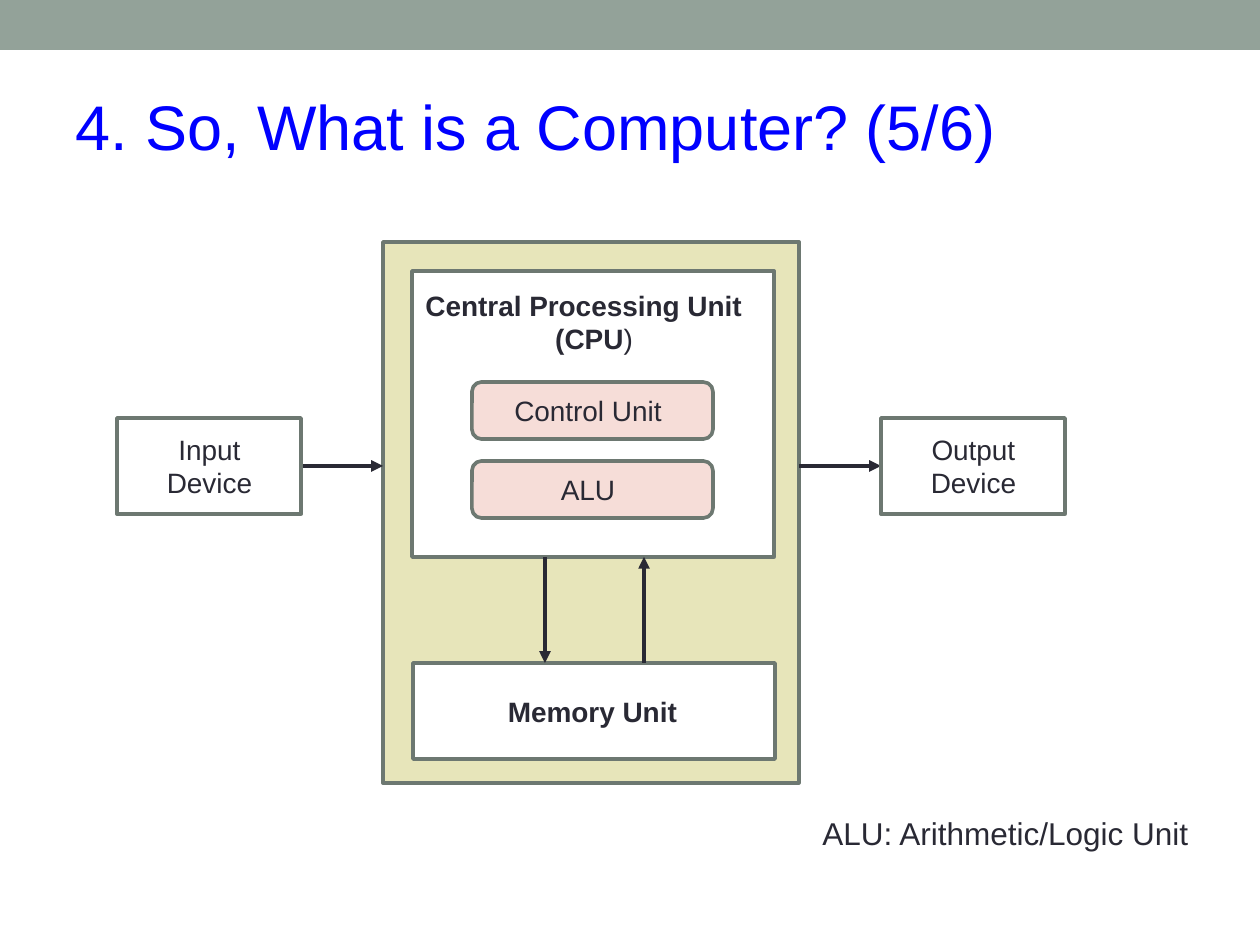
from pptx import Presentation
from pptx import util as u
from pptx.dml.color import RGBColor
from pptx.enum import shapes, text
from pptx.oxml.ns import qn
from lxml import etree

PX = 914400 / 126
COLORS = {"band": "93A299", "title": "0000FF", "text": "292934", "edge": "6D7871",
          "computer": "E7E5BA", "part": "F6DDD8", "white": "FFFFFF"}
RECT = shapes.MSO_SHAPE.RECTANGLE
ROUNDED = shapes.MSO_SHAPE.ROUNDED_RECTANGLE
LEFT, CENTER = text.PP_ALIGN.LEFT, text.PP_ALIGN.CENTER


def px(n):
    return u.Emu(round(n * PX))


def rgb(name):
    return RGBColor.from_string(COLORS[name])


def add_box(s, x, y, w, h, fill, kind=RECT, edge="edge"):
    sp = s.shapes.add_shape(kind, px(x), px(y), px(w), px(h))
    sp.shadow.inherit = False
    sp.fill.solid()
    sp.fill.fore_color.rgb = rgb(fill)
    if edge:
        sp.line.color.rgb = rgb(edge)
        sp.line.width = u.Pt(2.08)
    else:
        sp.line.fill.background()
    return sp


def add_label(s, x, y, w, h, lines, size=16, color="text", bold=False, align=CENTER):
    """Add a text box with one paragraph per line and return its paragraphs."""
    tf = s.shapes.add_textbox(px(x), px(y), px(w), px(h)).text_frame
    tf.word_wrap = True
    tf.text = "\n".join(lines)
    for p in tf.paragraphs:
        p.alignment = align
        p.font.name, p.font.size, p.font.bold = "Arial", u.Pt(size), bold
        p.font.color.rgb = rgb(color)
    return tf.paragraphs


def add_arrow(s, x1, y1, x2, y2):
    c = s.shapes.add_connector(shapes.MSO_CONNECTOR.STRAIGHT, px(x1), px(y1), px(x2), px(y2))
    c.line.color.rgb = rgb("text")
    c.line.width = u.Pt(2.25)
    etree.SubElement(c.line._get_or_add_ln(), qn("a:tailEnd"), type="triangle")
    etree.SubElement(c._element.spPr, qn("a:effectLst"))


def add_heading(s, x, y, w):
    add_box(s, x, y, w, 50, "band", edge=None)
    add_label(s, x + 63, y + 81, w - 89, 89, ["4. So, What is a Computer? (5/6)"],
              size=36, color="title", align=LEFT)


def add_cpu(s, x, y, w, h):
    add_box(s, x, y, w, h, "white")
    name, short = add_label(s, x + 1, y + 11, w, 81,
                            ["Central Processing Unit", "(CPU"], bold=True)
    name.alignment = LEFT
    r = short.add_run()
    r.text = ")"
    r.font.bold = False
    for i, part in enumerate(["Control Unit", "ALU"]):
        top = y + 111 + 79 * i
        add_box(s, x + 60, top, 241, 57, "part", ROUNDED)
        add_label(s, x + 79, top + 5, 194, 47, [part])


def add_memory(s, x, y, w, h):
    add_box(s, x, y, w, h, "white")
    add_label(s, x + 59, y + 25, 241, 47, ["Memory Unit"], bold=True)


def add_computer(s, x, y, w, h):
    cpu_bottom, memory_top = y + 315, y + 421
    add_box(s, x, y, w, h, "computer")
    add_cpu(s, x + 29, y + 29, 362, 286)
    add_memory(s, x + 30, memory_top, 362, 96)
    add_arrow(s, x + 261, memory_top, x + 261, cpu_bottom)
    add_arrow(s, x + 162, cpu_bottom, x + 162, memory_top)


def add_device(s, x, y, w, h, name):
    add_box(s, x, y, w, h, "white")
    add_label(s, x + 23, y + 8, w - 45, 81, [name])


def add_diagram(s, x, y):
    """Place input device, computer and output device in a row, joined by arrows."""
    device_w, gap, computer_w = 184, 82, 416
    computer_x = x + device_w + gap
    computer_end = computer_x + computer_w
    output_x = computer_end + gap
    device_y, flow_y = y + 176, y + 224
    add_computer(s, computer_x, y, computer_w, 541)
    add_arrow(s, x + device_w, flow_y, computer_x, flow_y)
    add_arrow(s, computer_end, flow_y, output_x, flow_y)
    add_device(s, x, device_y, device_w, 96, "Input Device")
    add_device(s, output_x, device_y, device_w, 96, "Output Device")


def main():
    prs = Presentation()
    prs.slide_width, prs.slide_height = px(1260), px(945)
    s = prs.slides.add_slide(prs.slide_layouts[6])
    add_heading(s, 0, 0, 1260)
    add_diagram(s, 117, 242)
    add_label(s, 810, 808, 407, 50, ["ALU: Arithmetic/Logic Unit"], size=18, align=LEFT)
    prs.save("out.pptx")


if __name__ == "__main__":
    main()
